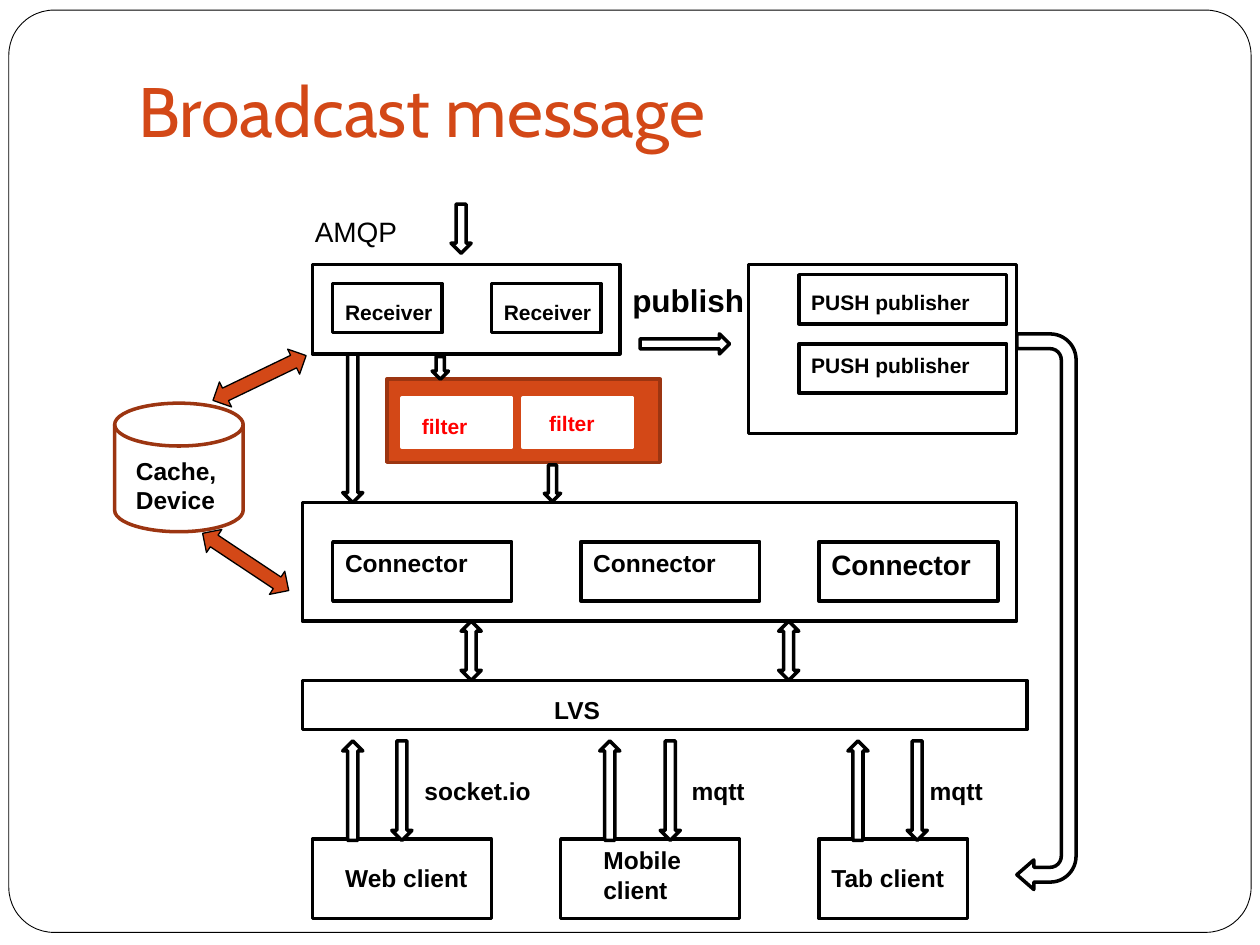
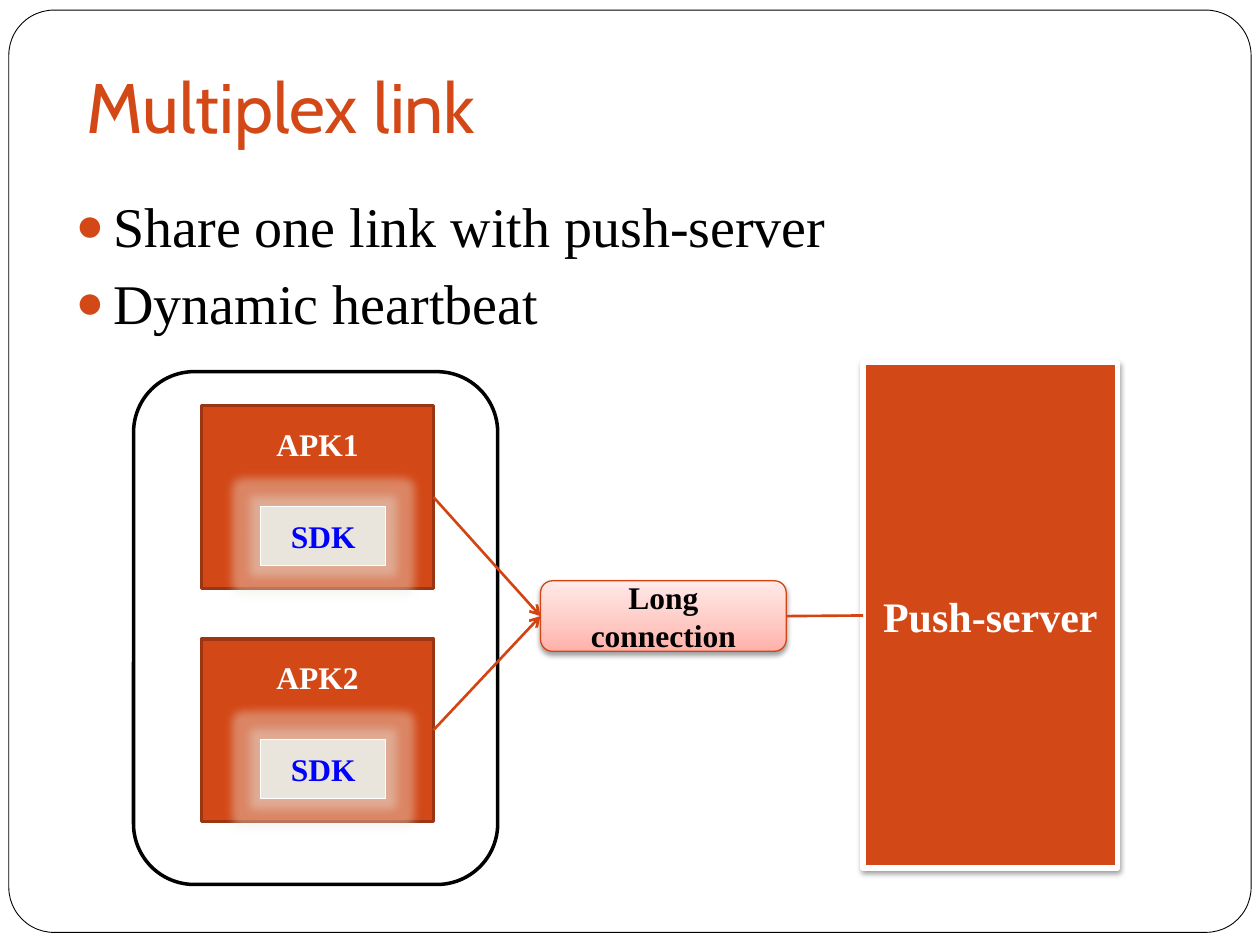
from lxml import etree
from pptx import Presentation
from pptx.dml.color import RGBColor
from pptx.enum import shapes, text
from pptx.oxml.ns import qn
from pptx.util import Inches, Pt

ORANGE = RGBColor(0xD3, 0x48, 0x17)
RUST = RGBColor(0x9C, 0x35, 0x11)
LINK = RGBColor(0xD3, 0x44, 0x12)
SAND = RGBColor(0xE9, 0xE5, 0xDC)
BLACK = RGBColor(0, 0, 0)
WHITE = RGBColor(0xFF, 0xFF, 0xFF)
RED = RGBColor(0xFF, 0, 0)
BLUE = RGBColor(0, 0, 0xFF)
PINKS = [(0, "FFB0A8"), (35, "FFC7C2"), (100, "FFEAE8")]

TITLE_FONT = "Cabin"
DIAGRAM_FONT = "Arial"
SERIF_FONT = "Times New Roman"
KIND = shapes.MSO_SHAPE


def place(item, left, top, width, height):
    item.left, item.top = Inches(left), Inches(top)
    item.width, item.height = Inches(width), Inches(height)


def set_font(paragraph, name, size, color, bold=False):
    font = paragraph.font
    font.name, font.size, font.bold = name, Pt(size), bold
    font.color.rgb = color


def add_box(slide, left, top, width, height, kind=KIND.RECTANGLE,
            fill=WHITE, line=BLACK, weight=2):
    box = slide.shapes.add_shape(kind, Inches(left), Inches(top),
                                 Inches(width), Inches(height))
    box.shadow.inherit = False
    box.fill.solid()
    box.fill.fore_color.rgb = fill
    box.line.color.rgb = line
    box.line.width = Pt(weight)
    return box


def add_label(slide, words, left, top, width, size, bold=True, color=BLACK):
    label = slide.shapes.add_textbox(Inches(left), Inches(top),
                                     Inches(width), Inches(0.35))
    frame = label.text_frame
    frame.word_wrap = True
    frame.text = words
    for paragraph in frame.paragraphs:
        set_font(paragraph, DIAGRAM_FONT, size, color, bold)


def write_in(box, words, size, color):
    """Centred bold serif text inside a box."""
    frame = box.text_frame
    frame.text = words
    frame.word_wrap = True
    frame.vertical_anchor = text.MSO_ANCHOR.MIDDLE
    paragraph = frame.paragraphs[0]
    paragraph.alignment = text.PP_ALIGN.CENTER
    set_font(paragraph, SERIF_FONT, size, color, True)


def add_effect(box, tag, color, alpha, **attributes):
    effects = box.element.spPr.find(qn("a:effectLst"))
    effect = etree.SubElement(effects, qn(tag), attributes)
    tint = etree.SubElement(effect, qn("a:srgbClr"), val=str(color))
    etree.SubElement(tint, qn("a:alpha"), val=str(alpha * 1000))


def add_drop_shadow(box):
    add_effect(box, "a:outerShdw", BLACK, 38, blurRad=str(Pt(3.1)),
               dist=str(Pt(1.6)), dir="5400000", rotWithShape="0")


def fill_gradient(box, stops, angle):
    box.fill.gradient()
    box.fill.gradient_angle = angle
    stop_list = box.element.spPr.find(".//" + qn("a:gsLst"))
    for stop in list(stop_list):
        stop_list.remove(stop)
    for position, color in stops:
        stop = etree.SubElement(stop_list, qn("a:gs"), pos=str(position * 1000))
        etree.SubElement(stop, qn("a:srgbClr"), val=color)


def join(slide, source, target, arrow=True):
    """Line from the right side of source to the left side of target."""
    link = slide.shapes.add_connector(shapes.MSO_CONNECTOR.STRAIGHT, 0, 0, 0, 0)
    link.begin_connect(source, 3)
    link.end_connect(target, 1)
    link.line.color.rgb = LINK
    link.line.width = Pt(1.5)
    properties = link.element.spPr
    if arrow:
        etree.SubElement(properties.find(qn("a:ln")), qn("a:tailEnd"), type="arrow")
    etree.SubElement(properties, qn("a:effectLst"))


def set_title(slide, words, left, top):
    title = slide.shapes.title
    place(title, left, top, 8.5, 1.25)
    frame = title.text_frame
    frame.text = words
    frame.vertical_anchor = text.MSO_ANCHOR.BOTTOM
    frame.auto_size = text.MSO_AUTO_SIZE.NONE
    frame.margin_bottom = Inches(0.1)
    paragraph = frame.paragraphs[0]
    paragraph.alignment = text.PP_ALIGN.LEFT
    set_font(paragraph, TITLE_FONT, 40, ORANGE)


def set_bullets(slide, lines):
    body = slide.placeholders[1]
    place(body, 0.5, 1.47, 9, 4.95)
    body.text_frame.text = "\n".join(lines)
    for paragraph in body.text_frame.paragraphs:
        set_font(paragraph, SERIF_FONT, 32, BLACK)
        paragraph.space_before = Pt(5.8)
        layout = paragraph._p.get_or_add_pPr()
        layout.set("marL", str(Inches(0.3)))
        layout.set("indent", str(Inches(-0.3)))
        color = etree.SubElement(layout, qn("a:buClr"))
        etree.SubElement(color, qn("a:srgbClr"), val=str(ORANGE))
        etree.SubElement(layout, qn("a:buSzPct"), val="85000")
        etree.SubElement(layout, qn("a:buChar"), char="●")
        # Bullet settings must precede the default run properties
        defaults = layout.find(qn("a:defRPr"))
        if defaults is not None:
            layout.append(defaults)


def add_master_frame(prs, slide):
    """Rounded page border, moved behind everything on the master."""
    frame = add_box(slide, 0.07, 0.08, 9.86, 7.32, KIND.ROUNDED_RECTANGLE,
                    weight=0.5)
    frame.adjustments[0] = 0.049
    frame.element.find(".//" + qn("p:cNvPr")).set("id", "99")
    prs.slide_master.shapes.element.insert(2, frame.element)


def draw_servers(slide):
    add_box(slide, 2.48, 2.1, 2.44, 0.71)
    for left in (2.64, 3.9):
        add_box(slide, left, 2.25, 0.87, 0.39)
        add_label(slide, "Receiver", left, 2.33, 1.26, 12)

    add_box(slide, 5.94, 2.1, 2.13, 1.34)
    for top, words_top in ((2.18, 2.25), (2.73, 2.75)):
        add_box(slide, 6.34, top, 1.65, 0.39)
        add_label(slide, "PUSH publisher", 6.34, words_top, 1.57, 12)

    add_box(slide, 2.4, 3.99, 5.67, 0.94)
    for left, size in ((2.64, 14), (4.61, 14), (6.5, 16)):
        add_box(slide, left, 4.3, 1.42, 0.47)
        add_label(slide, "Connector", left, 4.3, 1.5, size)

    add_box(slide, 2.4, 5.4, 5.75, 0.39)
    add_label(slide, "LVS", 4.3, 5.47, 1, 14)
    add_label(slide, "AMQP", 2.4, 1.65, 1.1, 16, bold=False)
    add_label(slide, "publish", 4.92, 2.18, 1.1, 18)


def draw_clients(slide):
    clients = [("Web client", 2.48, 1.42, 2.64, 6.8),
               ("Mobile client", 4.45, 1.42, 4.69, 6.66),
               ("Tab client", 6.5, 1.18, 6.5, 6.8)]
    for name, left, width, name_left, name_top in clients:
        add_box(slide, left, 6.66, width, 0.63)
        add_label(slide, name, name_left, name_top, 1.18, 14)

    traffic = [("socket.io", 2.72, 3.11, 3.27), ("mqtt", 4.76, 5.24, 5.39),
               ("mqtt", 6.73, 7.2, 7.28)]
    for protocol, up, down, protocol_left in traffic:
        add_box(slide, up, 5.88, 0.16, 0.79, KIND.UP_ARROW)
        add_box(slide, down, 5.88, 0.16, 0.79, KIND.DOWN_ARROW)
        add_label(slide, protocol, protocol_left, 6.11, 1.1, 14)


def draw_arrows(slide):
    add_box(slide, 3.58, 1.62, 0.16, 0.39, KIND.DOWN_ARROW)
    add_box(slide, 5.08, 2.65, 0.71, 0.16, KIND.RIGHT_ARROW)
    add_box(slide, 2.72, 2.81, 0.16, 1.18, KIND.DOWN_ARROW)
    for left in (3.66, 6.18):
        add_box(slide, left, 4.93, 0.16, 0.47, KIND.UP_DOWN_ARROW)

    push_route = add_box(slide, 6.1, 4.62, 4.41, 0.47, KIND.U_TURN_ARROW)
    push_route.rotation = 90
    for index, value in enumerate((0.25, 0.25, 0.287, 0.438, 1)):
        push_route.adjustments[index] = value


def draw_store(slide):
    add_box(slide, 0.91, 3.2, 1.02, 1.02, KIND.FLOWCHART_MAGNETIC_DISK, line=RUST)
    add_label(slide, "Cache,\nDevice", 0.98, 3.57, 1.57, 14)
    for left, top, angle in ((1.65, 2.89, 334.3), (1.54, 4.35, 33.6)):
        exchange = add_box(slide, left, top, 0.82, 0.22, KIND.LEFT_RIGHT_ARROW,
                           fill=ORANGE, weight=0.75)
        exchange.rotation = angle


def draw_filters(slide):
    add_box(slide, 3.07, 3.01, 2.17, 0.66, fill=ORANGE, line=RUST)
    for left, words_left, words_top in ((3.19, 3.25, 3.23), (4.15, 4.26, 3.21)):
        add_box(slide, left, 3.16, 0.87, 0.39, line=WHITE)
        add_label(slide, "filter", words_left, words_top, 0.71, 12, color=RED)
    add_box(slide, 3.43, 2.83, 0.13, 0.18, KIND.DOWN_ARROW)
    add_box(slide, 4.32, 3.69, 0.13, 0.29, KIND.DOWN_ARROW)


def add_app(slide, name, top):
    app = add_box(slide, 1.6, top, 1.84, 1.45, fill=ORANGE, line=RUST)
    write_in(app, name, 18, WHITE)
    app.text_frame.vertical_anchor = text.MSO_ANCHOR.TOP
    app.text_frame.margin_top = Inches(0.15)
    sdk = add_box(slide, 2.07, top + 0.8, 0.99, 0.47, fill=SAND, line=WHITE,
                  weight=0.75)
    add_effect(sdk, "a:glow", SAND, 40, rad=str(Pt(11)))
    write_in(sdk, "SDK", 18, BLUE)
    return app


def draw_multiplex(slide):
    add_box(slide, 1.06, 2.95, 2.89, 4.07, KIND.ROUNDED_RECTANGLE)
    apps = [add_app(slide, "APK1", 3.22), add_app(slide, "APK2", 5.07)]

    connection = add_box(slide, 4.29, 4.61, 1.95, 0.56, KIND.ROUNDED_RECTANGLE,
                         line=LINK, weight=0.75)
    fill_gradient(connection, PINKS, 90)
    add_drop_shadow(connection)
    write_in(connection, "Long connection", 18, BLACK)

    server = add_box(slide, 6.85, 2.88, 2.02, 4.01, fill=ORANGE, line=WHITE,
                     weight=3)
    add_drop_shadow(server)
    write_in(server, "Push-server", 24, WHITE)

    for app in apps:
        join(slide, app, connection)
    join(slide, connection, server, arrow=False)


def main():
    prs = Presentation()
    prs.slide_width, prs.slide_height = Inches(10), Inches(7.5)

    broadcast = prs.slides.add_slide(prs.slide_layouts[5])
    add_master_frame(prs, broadcast)
    set_title(broadcast, "Broadcast message", 1, 0.05)
    for draw in (draw_servers, draw_clients, draw_arrows, draw_store, draw_filters):
        draw(broadcast)

    multiplex = prs.slides.add_slide(prs.slide_layouts[1])
    set_title(multiplex, "Multiplex link", 0.59, 0.02)
    set_bullets(multiplex, ["Share one link with push-server", "Dynamic heartbeat"])
    draw_multiplex(multiplex)

    prs.save("out.pptx")


if __name__ == "__main__":
    main()
